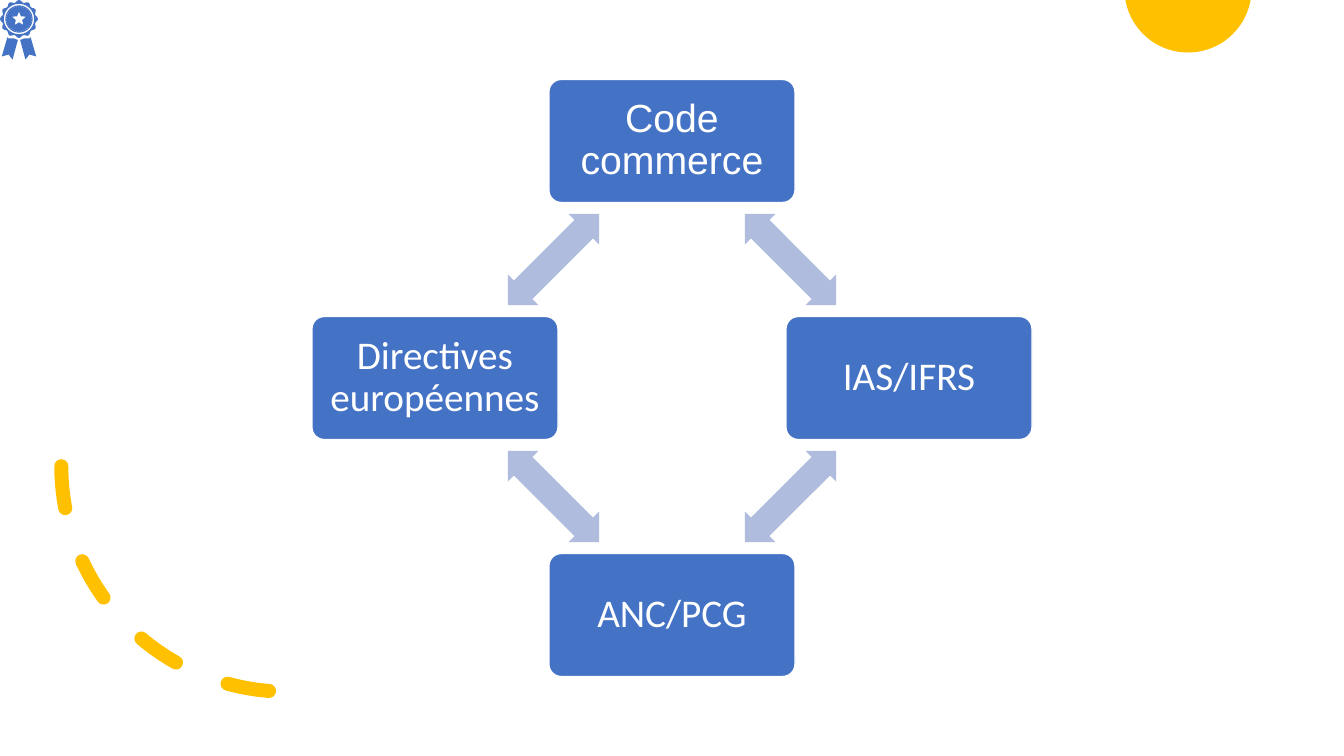
from dataclasses import dataclass
from math import cos, pi, radians, sin, sqrt

from pptx import Presentation
from pptx.dml.color import RGBColor
from pptx.enum import dml, shapes, text
from pptx.util import Pt

Point = tuple[float, float]


@dataclass(frozen=True)
class Theme:
    blue: RGBColor = RGBColor(0x44, 0x72, 0xC4)
    pale_blue: RGBColor = RGBColor(0xB0, 0xBC, 0xDE)
    yellow: RGBColor = RGBColor(0xFF, 0xC0, 0x00)
    white: RGBColor = RGBColor(0xFF, 0xFF, 0xFF)
    node_size: float = 28
    font: str = "Calibri"
    first_font: str = "Arial"


@dataclass(frozen=True)
class Node:
    label: str
    angle: float
    font: str


THEME = Theme()
NODES = [
    Node("Code commerce", 0, THEME.first_font),
    Node("IAS/IFRS", 90, THEME.font),
    Node("ANC/PCG", 180, THEME.font),
    Node("Directives européennes", 270, THEME.font),
]
CYCLE_CENTRE = (480, 270)
CYCLE_RADIUS = 169.3
NODE_W, NODE_H = 175.8, 87.9
ARROW_W, ARROW_H = 92.2, 31
MEDAL_CENTRE = (13.6, 13.6)


def polar(centre: Point, radius: float, angle: float) -> Point:
    """Point at an angle in degrees, clockwise from the top."""
    a = radians(angle)
    return centre[0] + radius * sin(a), centre[1] - radius * cos(a)


def circle(centre: Point, radius: float) -> list[Point]:
    return [polar(centre, radius, a) for a in range(0, 360, 5)]


def star(centre: Point, outer: float, inner: float) -> list[Point]:
    return [polar(centre, inner if i % 2 else outer, 36 * i) for i in range(10)]


def paint(sp, color: RGBColor) -> None:
    sp.shadow.inherit = False
    sp.fill.solid()
    sp.fill.fore_color.rgb = color
    sp.line.fill.background()


def add_outline(tree, contours: list[list[Point]], color: RGBColor) -> None:
    """Draw closed contours as one shape; inner contours are holes."""
    emu = [[(Pt(x), Pt(y)) for x, y in contour] for contour in contours]
    builder = tree.build_freeform(*emu[0][0])
    for i, contour in enumerate(emu):
        if i:
            builder.move_to(*contour[0])
        builder.add_line_segments(contour[1:], close=True)
    paint(builder.convert_to_shape(), color)


def add_centred(tree, kind, centre: Point, width: float, height: float):
    return tree.add_shape(kind, Pt(centre[0] - width / 2), Pt(centre[1] - height / 2),
                          Pt(width), Pt(height))


def add_sun(tree) -> None:
    """Part of a disc that hangs from the top edge of the slide."""
    centre, radius = (848.6, -7.9), 45.4
    half = sqrt(radius ** 2 - centre[1] ** 2)
    rim = [polar(centre, radius, a) for a in range(102, 260, 2)]
    edge = [(centre[0] - half, 0), (centre[0] + half, 0)]
    add_outline(tree, [edge + rim], THEME.yellow)


def add_dashed_arc(tree) -> None:
    sp = add_centred(tree, shapes.MSO_SHAPE.ARC, (204.8, 333), 322, 322)
    sp.shadow.inherit = False
    sp.fill.background()
    sp.rotation = 90
    sp.line.color.rgb = THEME.yellow
    sp.line.width = Pt(10)
    sp.line.dash_style = dml.MSO_LINE.DASH
    sp._element.spPr.find(".//{*}xfrm").set("flipV", "1")
    sp._element.spPr.find("{*}ln").set("cap", "rnd")


def add_medal(tree) -> None:
    medal = tree.add_group_shape().shapes
    scallop = [polar(MEDAL_CENTRE, 12.75 + 0.85 * cos(12 * a * pi / 180), a)
               for a in range(0, 360, 5)]
    ring = [circle(MEDAL_CENTRE, r) for r in (10.8, 9.7)]
    sparks = [star(polar(MEDAL_CENTRE, 9, a), 0.55, 0.25) for a in range(0, 360, 10)]
    add_outline(medal, [scallop, *ring, *sparks, star(MEDAL_CENTRE, 5.3, 2.4)], THEME.blue)
    ribbon = [(7.5, 13.9), (3.9, 13.8), (0.8, 15), (4.6, 29), (7.4, 25.4), (12.3, 26.8), (8.3, 13)]
    for side in (1, -1):
        add_outline(medal, [[(MEDAL_CENTRE[0] + side * x, MEDAL_CENTRE[1] + y)
                             for x, y in ribbon]], THEME.blue)


def add_node(tree, node: Node) -> None:
    centre = polar(CYCLE_CENTRE, CYCLE_RADIUS, node.angle)
    sp = add_centred(tree, shapes.MSO_SHAPE.ROUNDED_RECTANGLE, centre, NODE_W, NODE_H)
    sp.adjustments[0] = 0.1
    paint(sp, THEME.blue)
    sp.line.color.rgb = THEME.white
    sp.line.width = Pt(1)
    tf = sp.text_frame
    tf.word_wrap = True
    tf.vertical_anchor = text.MSO_ANCHOR.MIDDLE
    tf.margin_left = tf.margin_right = tf.margin_top = tf.margin_bottom = Pt(10)
    p = tf.paragraphs[0]
    p.text = node.label
    p.alignment = text.PP_ALIGN.CENTER
    p.line_spacing = 0.9
    p.font.name = node.font
    p.font.size = Pt(THEME.node_size)
    p.font.color.rgb = THEME.white


def add_arrow(tree, angle: float) -> None:
    """Double arrow halfway between two neighbouring nodes."""
    centre = polar(CYCLE_CENTRE, CYCLE_RADIUS * cos(pi / 4), angle)
    sp = add_centred(tree, shapes.MSO_SHAPE.LEFT_RIGHT_ARROW, centre, ARROW_W, ARROW_H)
    sp.adjustments[0] = 0.6
    sp.adjustments[1] = 0.5
    sp.rotation = angle
    paint(sp, THEME.pale_blue)


def main() -> None:
    prs = Presentation()
    prs.slide_width, prs.slide_height = Pt(960), Pt(540)
    tree = prs.slides.add_slide(prs.slide_layouts[6]).shapes
    add_sun(tree)
    add_dashed_arc(tree)
    add_medal(tree)
    for node in NODES:
        add_node(tree, node)
        add_arrow(tree, node.angle + 45)
    prs.save("out.pptx")


if __name__ == "__main__":
    main()
